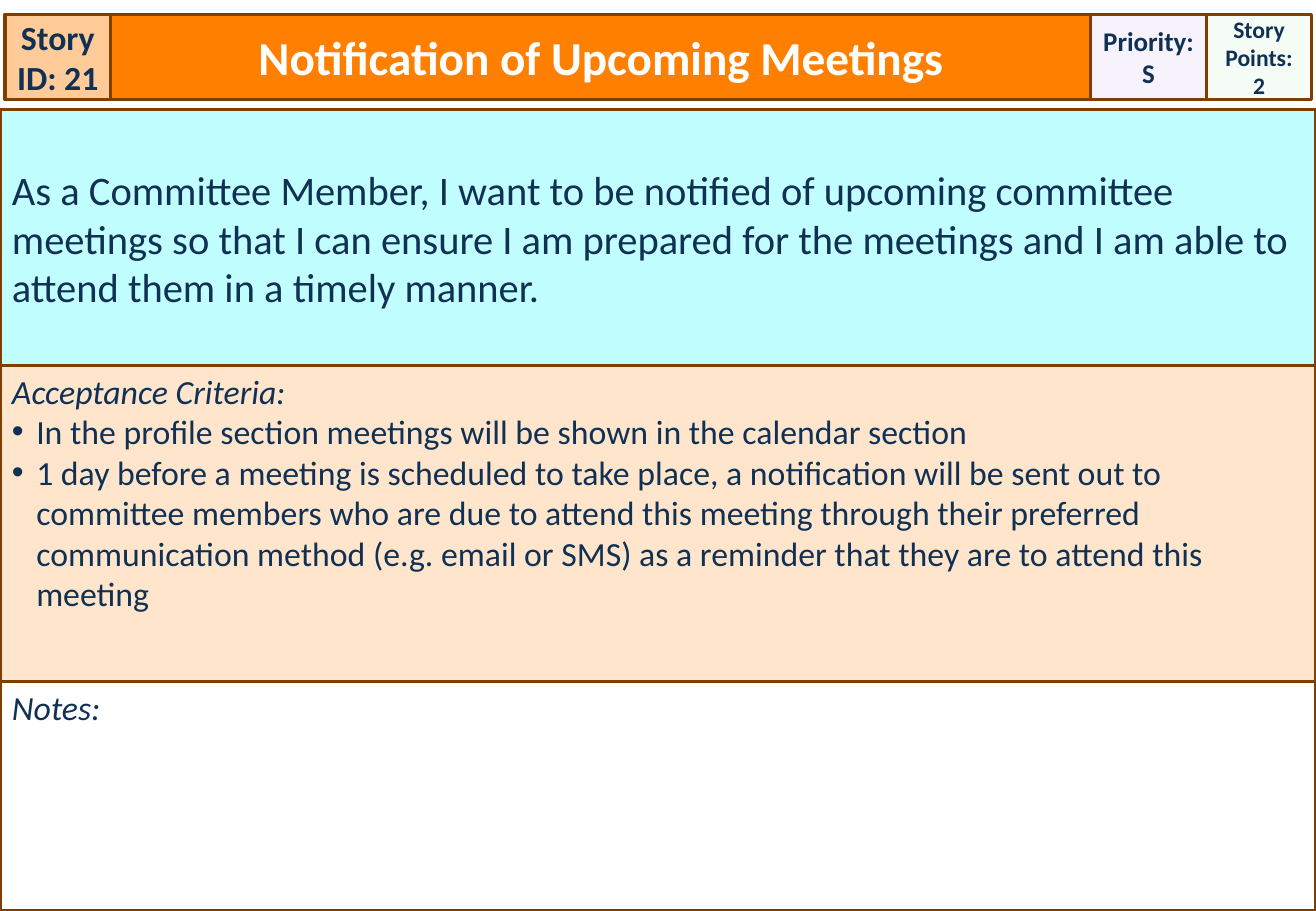
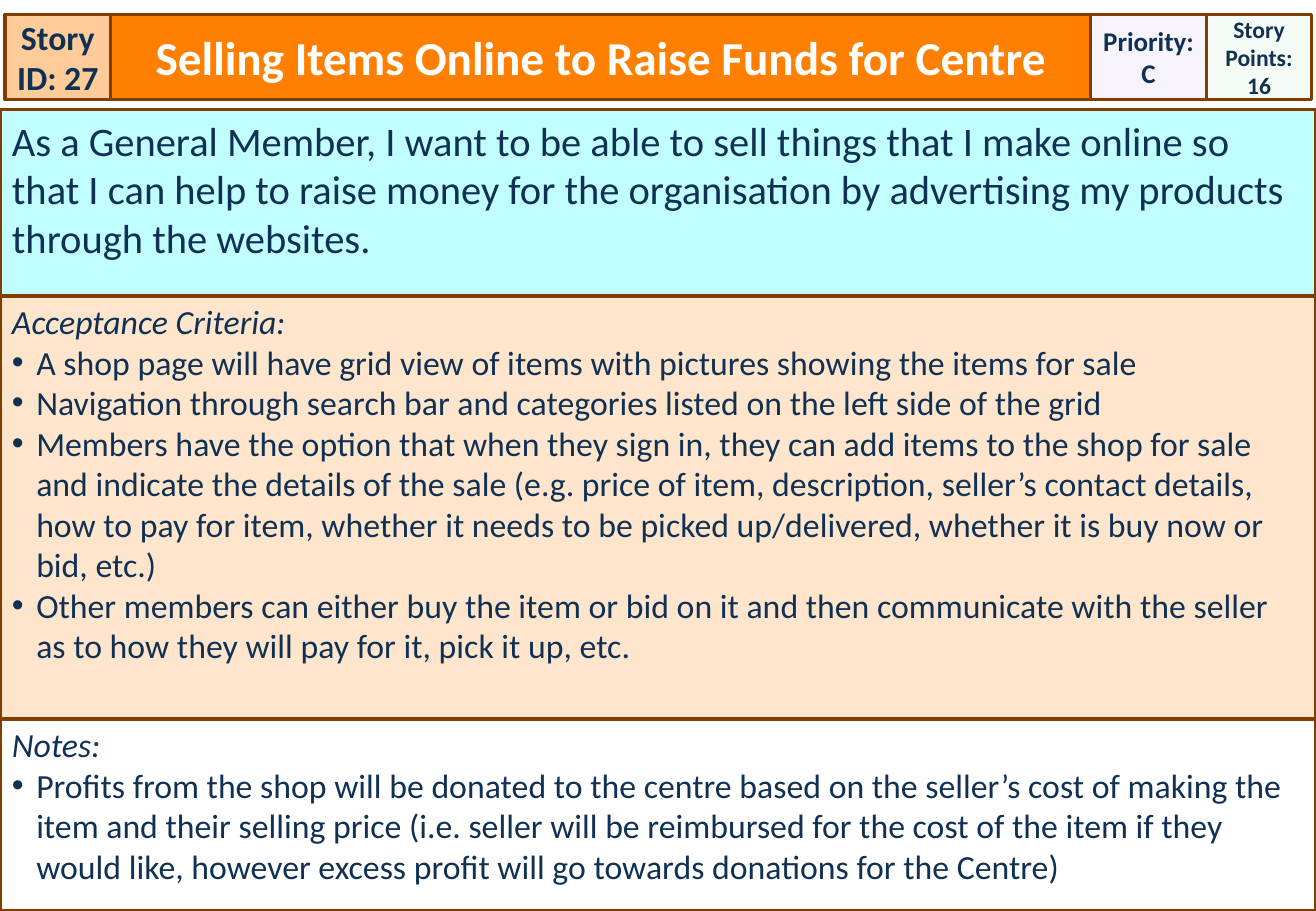
from itertools import pairwise
from lxml.etree import SubElement
from pptx import Presentation
from pptx.dml.color import RGBColor
from pptx.enum.shapes import MSO_SHAPE
from pptx.enum.text import MSO_ANCHOR, PP_ALIGN
from pptx.oxml.ns import qn
from pptx.util import Pt

COLORS = {
    "border": "803F00", "ink": "103154", "white": "FFFFFF", "id": "FFCC99",
    "title": "FF7F01", "priority": "F6F3FC", "points": "CCF0CD",
    "story": "C0FEFF", "criteria": "FFE5CC",
}
FONT = "Calibri"
WIDTH, HEIGHT = 780, 540
HEADER_TOP, HEADER_HEIGHT = 8.6, 50.4
HEADER_EDGES = [3, 65.5, 646.5, 715, 777.5]
PANEL_TOP = 65

STORIES = [
    {
        "id": "21", "title": "Notification of Upcoming Meetings",
        "priority": "S", "points": "2",
        "edges": [PANEL_TOP, 216.7, 404, HEIGHT], "story_inset": 32.9,
        "story": "As a Committee Member, I want to be notified of upcoming committee meetings so that I can ensure I am prepared for the meetings and I am able to attend them in a timely manner.",
        "criteria": [
            "In the profile section meetings will be shown in the calendar section",
            "1 day before a meeting is scheduled to take place, a notification will be sent out to committee members who are due to attend this meeting through their preferred communication method (e.g. email or SMS) as a reminder that they are to attend this meeting",
        ],
        "notes": [],
    },
    {
        "id": "27", "title": "Selling Items Online to Raise Funds for Centre",
        "priority": "C", "points": "16",
        "edges": [PANEL_TOP, 175.4, 426.2, HEIGHT], "story_inset": 3.6,
        "story": "As a General Member, I want to be able to sell things that I make online so that I can help to raise money for the organisation by advertising my products through the websites.",
        "criteria": [
            "A shop page will have grid view of items with pictures showing the items for sale",
            "Navigation through search bar and categories listed on the left side of the grid",
            "Members have the option that when they sign in, they can add items to the shop for sale and indicate the details of the sale (e.g. price of item, description, seller’s contact details, how to pay for item, whether it needs to be picked up/delivered, whether it is buy now or bid, etc.)",
            "Other members can either buy the item or bid on it and then communicate with the seller as to how they will pay for it, pick it up, etc.",
        ],
        "notes": [
            "Profits from the shop will be donated to the centre based on the seller’s cost of making the item and their selling price (i.e. seller will be reimbursed for the cost of the item if they would like, however excess profit will go towards donations for the Centre)",
        ],
    },
]


def add_box(page, left, top, width, height, fill, lines, size, side=7.2, inset=3.6):
    box = page.shapes.add_shape(
        MSO_SHAPE.RECTANGLE, Pt(left), Pt(top), Pt(width), Pt(height))
    box.shadow.inherit = False
    box.fill.solid()
    box.fill.fore_color.rgb = RGBColor.from_string(COLORS[fill])
    box.line.color.rgb = RGBColor.from_string(COLORS["border"])
    box.line.width = Pt(2)
    frame = box.text_frame
    frame.word_wrap = True
    frame.vertical_anchor = MSO_ANCHOR.TOP
    frame.margin_left = frame.margin_right = Pt(side)
    frame.margin_top, frame.margin_bottom = Pt(inset), Pt(3.6)
    frame.text = "\n".join(lines)
    for para in frame.paragraphs:
        para.alignment = PP_ALIGN.LEFT
        for span in para.runs:
            span.font.name = FONT
            span.font.size = Pt(size)
            span.font.color.rgb = RGBColor.from_string(COLORS["ink"])
    return box


def add_list(page, top, height, fill, heading, items):
    box = add_box(page, 0, top, WIDTH, height, fill, [heading, *items], 20, inset=2.9)
    first, *bullets = box.text_frame.paragraphs
    first.runs[0].font.italic = True
    for para in bullets:
        properties = para._p.get_or_add_pPr()
        properties.set("marL", str(Pt(14.4)))
        properties.set("indent", str(-Pt(14.4)))
        SubElement(properties, qn("a:buFont")).set("typeface", "Arial")
        SubElement(properties, qn("a:buChar")).set("char", "•")


deck = Presentation()
deck.slide_width, deck.slide_height = Pt(WIDTH), Pt(HEIGHT)

for story in STORIES:
    page = deck.slides.add_slide(deck.slide_layouts[6])

    header = [
        ("id", [f"Story ID: {story['id']}"], 20, 0),
        ("title", [story["title"]], 28, 7.2),
        ("priority", ["Priority:", story["priority"]], 16, 0),
        ("points", ["Story Points:", story["points"]], 14, 0),
    ]
    for (left, right), (name, lines, size, side) in zip(pairwise(HEADER_EDGES), header):
        box = add_box(page, left, HEADER_TOP, right - left, HEADER_HEIGHT,
                      name, lines, size, side)
        box.text_frame.vertical_anchor = MSO_ANCHOR.MIDDLE
        for para in box.text_frame.paragraphs:
            para.alignment = PP_ALIGN.CENTER
            para.runs[0].font.bold = True
        if name == "title":
            span = box.text_frame.paragraphs[0].runs[0]
            span.font.color.rgb = RGBColor.from_string(COLORS["white"])
        if name == "priority":
            box.text_frame.word_wrap = False
        if name == "points":
            color = box.fill._xPr.find(qn("a:solidFill"))[0]
            SubElement(color, qn("a:alpha")).set("val", "20000")

    story_top, criteria_top, notes_top, bottom = story["edges"]
    add_box(page, 0, story_top, WIDTH, criteria_top - story_top, "story",
            [story["story"]], 24, inset=story["story_inset"])
    add_list(page, criteria_top, notes_top - criteria_top, "criteria",
             "Acceptance Criteria:", story["criteria"])
    add_list(page, notes_top, bottom - notes_top, "white", "Notes:", story["notes"])

deck.save("out.pptx")
